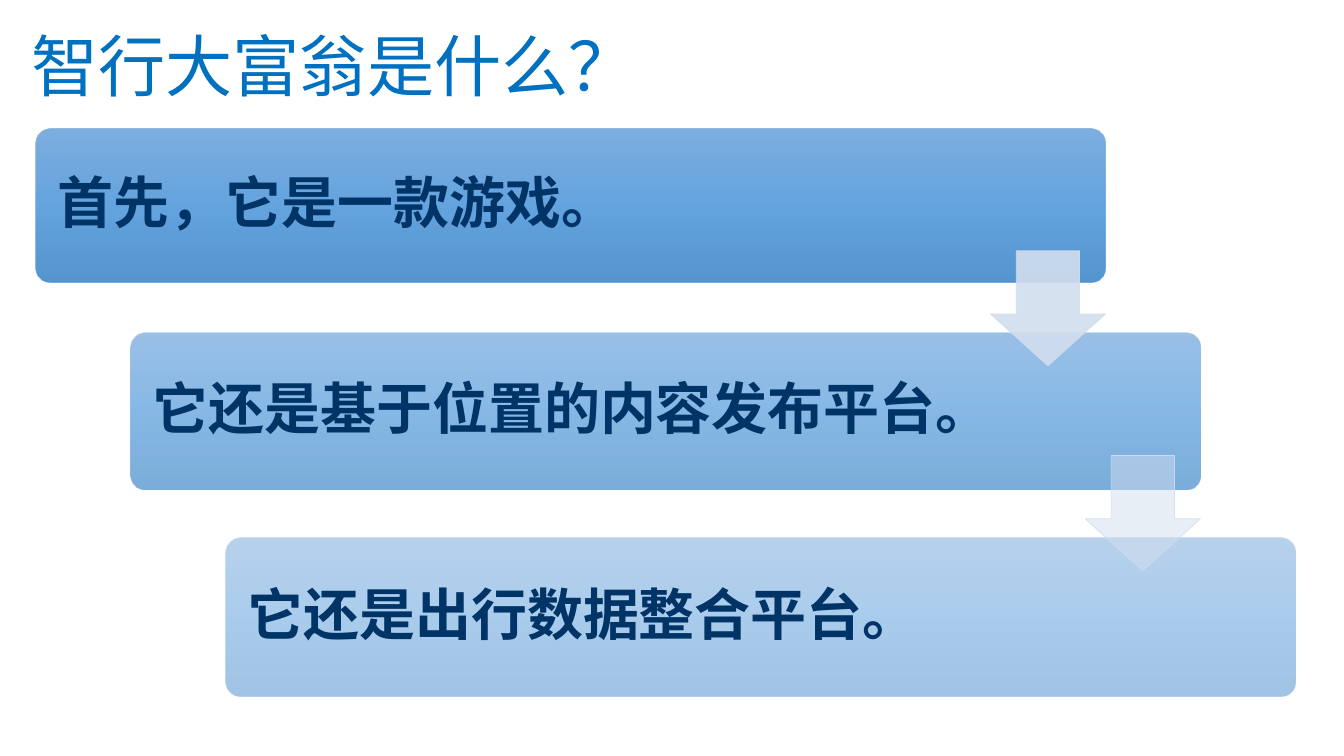
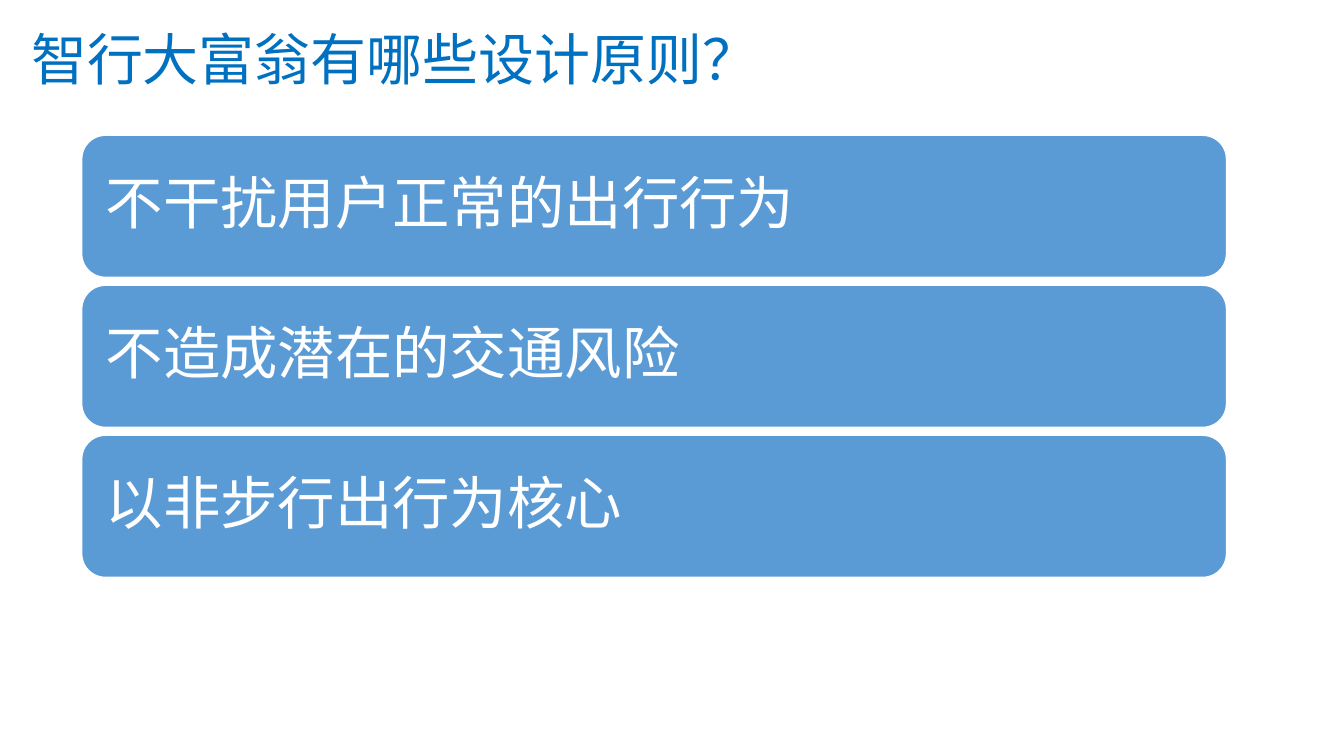
from dataclasses import dataclass

from lxml.etree import SubElement
from pptx import Presentation
from pptx.dml.color import RGBColor
from pptx.enum.shapes import MSO_SHAPE as Preset
from pptx.enum.text import MSO_ANCHOR as Anchor, MSO_AUTO_SIZE as AutoSize, PP_ALIGN as Align
from pptx.oxml.ns import qn
from pptx.util import Cm, Pt

TITLE_BLUE = "0070C0"
NAVY = "003366"
WHITE = "FFFFFF"
BAR_BLUE = "5B9BD5"
ARROW_BLUE = "D2DEEF"
GRADIENT = ((0, "71A6DB"), (50, "559BDB"), (100, "448ACA"))
SANS_SC = "Noto Sans CJK SC"
SANS_JP = "Noto Sans CJK JP"


@dataclass(frozen=True)
class Box:
    """A rectangle in centimetres."""
    left: float
    top: float
    width: float
    height: float

    def lengths(self):
        return Cm(self.left), Cm(self.top), Cm(self.width), Cm(self.height)


@dataclass(frozen=True)
class TextStyle:
    size: float
    color: str
    latin: str = SANS_SC
    east_asian: str = SANS_SC
    bold: bool = False


@dataclass(frozen=True)
class Step:
    text: str
    height: float
    opacity: int


STEP_STYLE = TextStyle(40, NAVY, bold=True)
PRINCIPLE_STYLE = TextStyle(41, WHITE, latin="Calibri")

STEPS = (
    Step("首先，它是一款游戏。", 3.89, 90),
    Step("它还是基于位置的内容发布平台。", 3.94, 70),
    Step("它还是出行数据整合平台。", 4.01, 50),
)
STEP_LEFT, STEP_TOP, STEP_WIDTH = 0.91, 3.23, 26.95
STEP_SHIFT, STEP_PITCH = 2.39, 5.16
ARROW_SIZE, ARROW_TOP = 2.9, 6.32
ARROW_OPACITIES = (90, 50)

PRINCIPLES = ("不干扰用户正常的出行行为", "不造成潜在的交通风险", "以非步行出行为核心")
PRINCIPLE_TOP, PRINCIPLE_PITCH = 3.41, 3.78


def rgb(color: str) -> RGBColor:
    return RGBColor.from_string(color)


def set_opacity(color_element, percent: int) -> None:
    SubElement(color_element, qn("a:alpha")).set("val", str(percent * 1000))


def write(frame, text: str, style: TextStyle) -> None:
    frame.text = text
    frame.word_wrap = True
    frame.auto_size = AutoSize.NONE
    frame.vertical_anchor = Anchor.MIDDLE
    paragraph = frame.paragraphs[0]
    paragraph.alignment = Align.LEFT
    font = paragraph.font
    font.size, font.bold, font.name = Pt(style.size), style.bold, style.latin
    font.color.rgb = rgb(style.color)
    properties = paragraph._p.pPr.find(qn("a:defRPr"))
    SubElement(properties, qn("a:ea")).set("typeface", style.east_asian)


def add_titled_slide(deck, text: str, style: TextStyle, box: Box):
    slide = deck.slides.add_slide(deck.slide_layouts[5])
    title = slide.shapes.title
    title.left, title.top, title.width, title.height = box.lengths()
    write(title.text_frame, text, style)
    return slide


def add_preset(slide, preset: Preset, box: Box):
    shape = slide.shapes.add_shape(preset, *box.lengths())
    shape.shadow.inherit = False
    shape.line.fill.background()
    return shape


def add_bar(slide, box: Box, text: str, style: TextStyle):
    bar = add_preset(slide, Preset.ROUNDED_RECTANGLE, box)
    frame = bar.text_frame
    frame.margin_left = frame.margin_right = Cm(0.43)
    frame.margin_top = frame.margin_bottom = Cm(0.43)
    write(frame, text, style)
    frame.paragraphs[0].line_spacing = 0.9
    return bar


def fill_with_gradient(shape, opacity: int) -> None:
    """Fill from top to bottom with the shared stops."""
    shape.fill.gradient()
    shape.fill.gradient_angle = 270
    stops = shape._element.spPr.find(qn("a:gradFill")).find(qn("a:gsLst"))
    for stop in list(stops):
        stops.remove(stop)
    for position, color in GRADIENT:
        stop = SubElement(stops, qn("a:gs"))
        stop.set("pos", str(position * 1000))
        color_element = SubElement(stop, qn("a:srgbClr"))
        color_element.set("val", color)
        set_opacity(color_element, opacity)


def add_arrow(slide, box: Box, opacity: int) -> None:
    arrow = add_preset(slide, Preset.DOWN_ARROW, box)
    arrow.adjustments[0], arrow.adjustments[1] = 0.55, 0.45
    arrow.fill.solid()
    arrow.fill.fore_color.rgb = rgb(ARROW_BLUE)
    arrow.line.color.rgb = rgb(ARROW_BLUE)
    arrow.line.width = Pt(0.5)
    fill_color, line_color = arrow._element.spPr.iter(qn("a:srgbClr"))
    set_opacity(fill_color, opacity)
    set_opacity(line_color, 90)


def build_definition(deck) -> None:
    slide = add_titled_slide(deck, "智行大富翁是什么？",
                             TextStyle(48, TITLE_BLUE, SANS_JP, SANS_JP),
                             Box(0.53, 0.48, 20.24, 2.31))
    for index, step in enumerate(STEPS):
        box = Box(STEP_LEFT + index * STEP_SHIFT, STEP_TOP + index * STEP_PITCH,
                  STEP_WIDTH, step.height)
        bar = add_bar(slide, box, step.text, STEP_STYLE)
        bar.adjustments[0] = 0.1
        fill_with_gradient(bar, step.opacity)
    arrow_left = STEP_LEFT + STEP_WIDTH - ARROW_SIZE
    for index, opacity in enumerate(ARROW_OPACITIES):
        box = Box(arrow_left + index * STEP_SHIFT, ARROW_TOP + index * STEP_PITCH,
                  ARROW_SIZE, ARROW_SIZE)
        add_arrow(slide, box, opacity)


def build_principles(deck) -> None:
    slide = add_titled_slide(deck, "智行大富翁有哪些设计原则？",
                             TextStyle(40, TITLE_BLUE),
                             Box(0.53, 0.48, 31.42, 1.96))
    for index, principle in enumerate(PRINCIPLES):
        box = Box(2.06, PRINCIPLE_TOP + index * PRINCIPLE_PITCH, 28.85, 3.58)
        bar = add_bar(slide, box, principle, PRINCIPLE_STYLE)
        bar.fill.solid()
        bar.fill.fore_color.rgb = rgb(BAR_BLUE)
        bar.line.color.rgb = rgb(WHITE)
        bar.line.width = Pt(1)


def main() -> None:
    deck = Presentation()
    deck.slide_width, deck.slide_height = Cm(33.87), Cm(19.05)
    build_definition(deck)
    build_principles(deck)
    deck.save("out.pptx")


if __name__ == "__main__":
    main()
